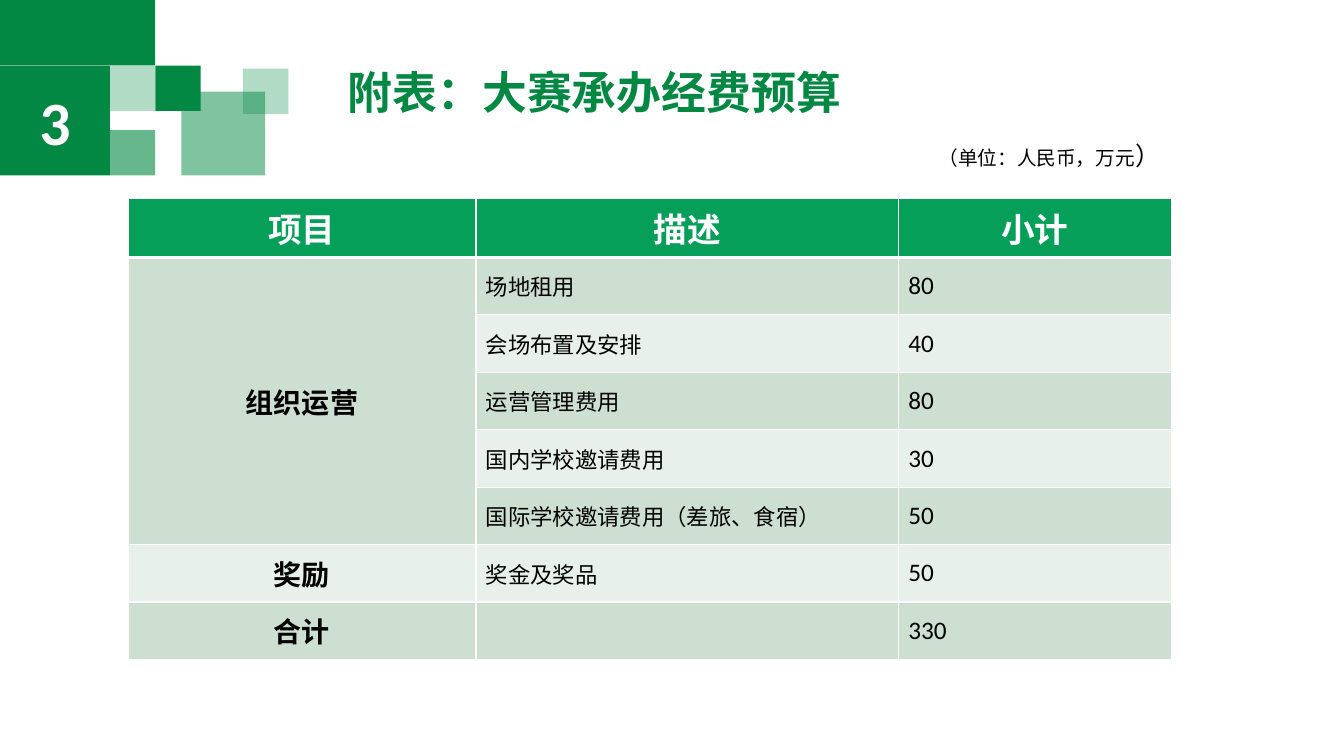
from lxml import etree
from pptx import Presentation
from pptx import util as u
from pptx.dml import color
from pptx.enum import shapes, text
from pptx.oxml import ns

COLORS = {"green": "028842", "header": "059F59", "odd": "CCDFD1",
          "even": "E7F0EA", "white": "FFFFFF", "black": "000000"}
LATIN, CJK = "Calibri", "Noto Sans CJK SC"
COLUMNS = (3.45, 4.19, 2.71)
HEADER_HEIGHT, ROW_HEIGHT = 0.52, 0.57
ROWS = [
    ("项目", "描述", "小计"),
    ("组织运营", "场地租用", "80"),
    ("", "会场布置及安排", "40"),
    ("", "运营管理费用", "80"),
    ("", "国内学校邀请费用", "30"),
    ("", "国际学校邀请费用（差旅、食宿）", "50"),
    ("奖励", "奖金及奖品", "50"),
    ("合计", "", "330"),
]


def inches(box):
    """Convert a box given in inches to lengths."""
    return [u.Inches(value) for value in box]


def rgb(name):
    """Return the named colour."""
    return color.RGBColor.from_string(COLORS[name])


def format_run(run, size, tint, bold=False, latin=LATIN):
    """Set the size, colour, weight and typefaces of a run."""
    run.font.size = u.Pt(size)
    run.font.bold = bold
    run.font.color.rgb = rgb(tint)
    run.font.name = latin
    etree.SubElement(run.font._element, ns.qn("a:ea"), typeface=CJK)


def add_square(slide, box, opacity=100):
    """Add a green rectangle with the given opacity in percent."""
    shape = slide.shapes.add_shape(shapes.MSO_SHAPE.RECTANGLE, *inches(box))
    shape.shadow.inherit = False
    shape.line.fill.background()
    shape.fill.solid()
    shape.fill.fore_color.rgb = rgb("green")
    if opacity < 100:
        tint = shape.fill._xPr.find(".//" + ns.qn("a:srgbClr"))
        etree.SubElement(tint, ns.qn("a:alpha"), val=str(opacity * 1000))
    return shape


def add_corner(slide, box, number):
    """Draw the mosaic of squares with the section number."""
    left, top, width, height = box
    small, large = 0.45, 0.83
    block = width - small
    band = height - block
    add_square(slide, (left, top, width, band))
    for x, y, side, opacity in (
            (block, band, small, 30), (width, band, small, 100),
            (block, height - small, small, 60),
            (1.8, height - large, large, 50), (2.41, 0.68, small, 30)):
        add_square(slide, (left + x, top + y, side, side), opacity)
    badge = add_square(slide, (left, top + band, block, block))
    frame = badge.text_frame
    frame.text = number
    frame.vertical_anchor = text.MSO_ANCHOR.MIDDLE
    frame.paragraphs[0].alignment = text.PP_ALIGN.CENTER
    format_run(frame.paragraphs[0].runs[0], 44, "white", True)


def add_title(slide, box, wording):
    """Place and format the title placeholder."""
    title = slide.shapes.title
    title.left, title.top, title.width, title.height = inches(box)
    frame = title.text_frame
    frame.text = wording
    frame.auto_size = text.MSO_AUTO_SIZE.NONE
    frame.vertical_anchor = text.MSO_ANCHOR.TOP
    paragraph = frame.paragraphs[0]
    paragraph.alignment = text.PP_ALIGN.LEFT
    paragraph.line_spacing = 0.9
    format_run(paragraph.runs[0], 32, "green", True)


def add_unit_note(slide, box):
    """Add the currency note above the table."""
    frame = slide.shapes.add_textbox(*inches(box)).text_frame
    frame.word_wrap = True
    for wording, size in (("（单位：人民币，万元", 14), ("）", 18)):
        run = frame.paragraphs[0].add_run()
        run.text = wording
        format_run(run, size, "black")


def set_borders(cell, bottom, top):
    """Give a cell white borders, with top and bottom widths in points."""
    properties = cell._tc.get_or_add_tcPr()
    for side, width in (("L", 1), ("R", 1), ("T", top), ("B", bottom)):
        line = etree.SubElement(properties, ns.qn("a:ln" + side), w=str(u.Pt(width)))
        fill = etree.SubElement(line, ns.qn("a:solidFill"))
        etree.SubElement(fill, ns.qn("a:srgbClr"), val=COLORS["white"])


def fill_cell(cell, row, column, wording):
    """Write and style one table cell according to its place."""
    header = row == 0
    set_borders(cell, 3 if header else 1, 3 if row == 1 else 1)
    cell.fill.solid()
    cell.fill.fore_color.rgb = rgb("header" if header else "odd" if row % 2 else "even")
    cell.vertical_anchor = text.MSO_ANCHOR.TOP if header else text.MSO_ANCHOR.MIDDLE
    if not wording:
        return
    cell.text = wording
    paragraph = cell.text_frame.paragraphs[0]
    if header or column == 0:
        paragraph.alignment = text.PP_ALIGN.CENTER
    size = 24 if header else (20, 16, 18)[column]
    format_run(paragraph.runs[0], size, "white" if header else "black",
               header or column == 0, CJK if header else LATIN)


def add_budget_table(slide, left, top):
    """Build the budget table with its merged category cell."""
    height = HEADER_HEIGHT + ROW_HEIGHT * (len(ROWS) - 1)
    box = inches((left, top, sum(COLUMNS), height))
    table = slide.shapes.add_table(len(ROWS), len(COLUMNS), *box).table
    for column, width in zip(table.columns, COLUMNS):
        column.width = u.Inches(width)
    for index, values in enumerate(ROWS):
        table.rows[index].height = u.Inches(ROW_HEIGHT if index else HEADER_HEIGHT)
        for column, wording in enumerate(values):
            fill_cell(table.cell(index, column), index, column, wording)
    table.cell(1, 0).merge(table.cell(5, 0))


def main():
    """Build and save the presentation."""
    presentation = Presentation()
    presentation.slide_width = u.Inches(13.33)
    presentation.slide_height = u.Inches(7.5)
    slide = presentation.slides.add_slide(presentation.slide_layouts[5])
    add_corner(slide, (0, 0, 1.54, 1.74), "3")
    add_title(slide, (3.35, 0.65, 8.46, 0.6), "附表：大赛承办经费预算")
    add_budget_table(slide, 1.27, 1.97)
    add_unit_note(slide, (9.21, 1.34, 2.6, 0.4))
    presentation.save("out.pptx")


if __name__ == "__main__":
    main()
